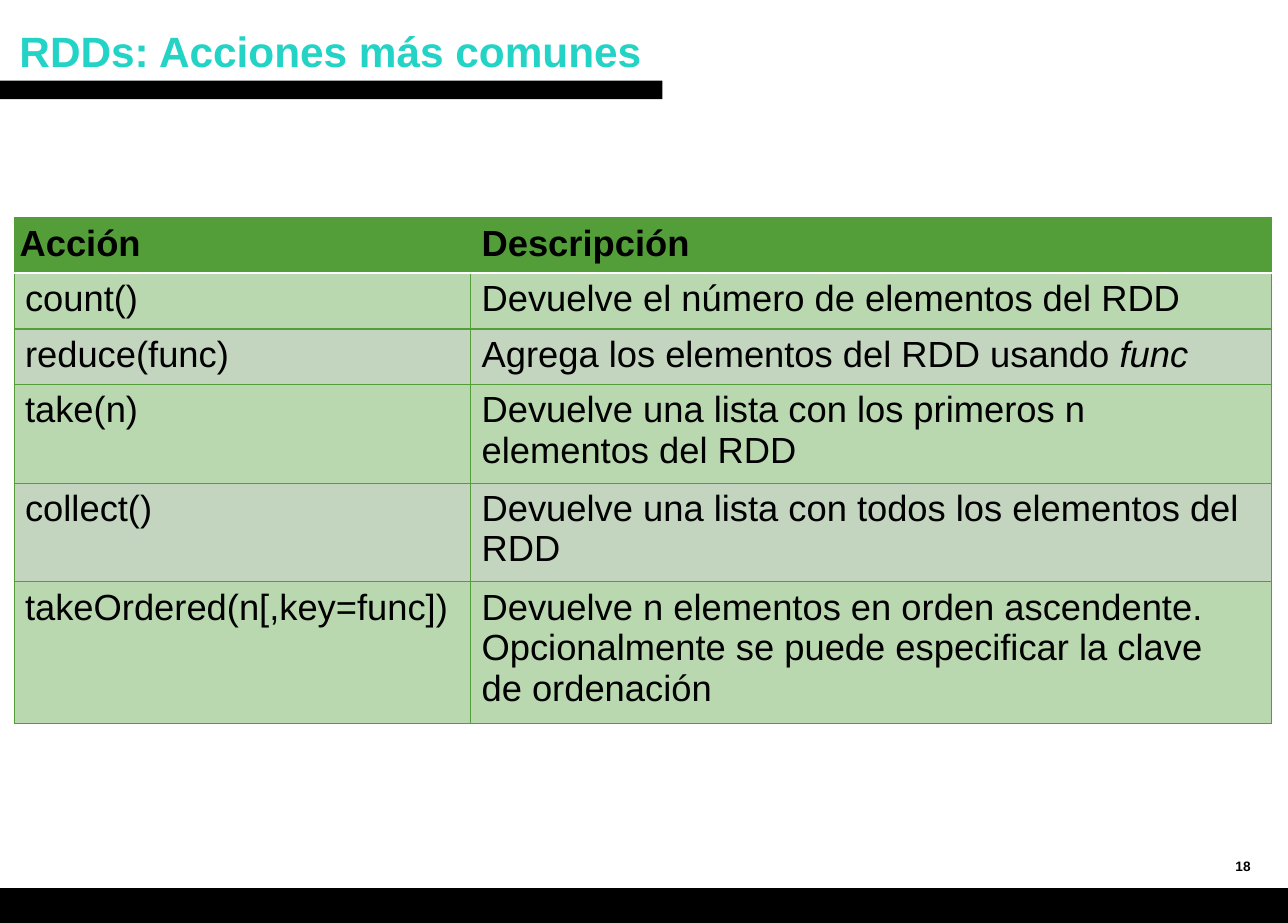
import pptx
import pptx.dml.color
import pptx.enum.shapes
import pptx.enum.text
import pptx.oxml
import pptx.util
from lxml import etree

WIDE, HIGH = 11.82, 8.47
BLACK, WHITE, TEAL = "000000", "FFFFFF", "22D3C6"
GREEN, LIGHT, GREY = "539E39", "BAD8AF", "C3D5BE"
ANCHOR = pptx.enum.text.MSO_ANCHOR
inch = pptx.util.Inches

# Table rows: action, runs of the description (text, italic), lines of text
ROWS = [
    ("Acción", [("Descripción", False)], 1),
    ("count()", [("Devuelve el número de elementos del RDD", False)], 1),
    ("reduce(func)",
     [("Agrega los elementos del RDD usando ", False), ("func", True)], 1),
    ("take(n)",
     [("Devuelve una lista con los primeros n elementos del RDD", False)], 2),
    ("collect()",
     [("Devuelve una lista con todos los elementos del RDD", False)], 2),
    ("takeOrdered(n[,key=func])",
     [("Devuelve n elementos en orden ascendente. Opcionalmente se puede "
       "especificar la clave de ordenación", False)], 3),
]


def color(text):
    return pptx.dml.color.RGBColor.from_string(text)


def place(left, top, width, height):
    """Turn percentages of the slide into lengths."""
    return [inch(share * side / 100) for share, side in
            ((left, WIDE), (top, HIGH), (width, WIDE), (height, HIGH))]


def assign(item, values):
    for name, value in values.items():
        setattr(item, name, value)


def write(para, text, size, tint, bold=False, italic=False):
    run = para.add_run()
    run.text = text
    assign(run.font, {"name": "Arial", "size": pptx.util.Pt(size),
                      "bold": bold, "italic": italic})
    run.font.color.rgb = color(tint)


def add_bar(slide, area):
    kind = pptx.enum.shapes.MSO_SHAPE.RECTANGLE
    bar = slide.shapes.add_shape(kind, *place(*area))
    bar.shadow.inherit = False
    bar.fill.solid()
    bar.fill.fore_color.rgb = color(BLACK)
    bar.line.fill.background()


def add_label(slide, area, text, size, tint, **frame):
    box = slide.shapes.add_textbox(*place(*area)).text_frame
    assign(box, {"word_wrap": True, **frame})
    write(box.paragraphs[0], text, size, tint, bold=True)


def add_edge(cell, side, tint, width):
    props = cell._tc.get_or_add_tcPr()
    edge = etree.SubElement(props, pptx.oxml.ns.qn("a:" + side),
                            w=str(pptx.util.Pt(width)))
    fill = etree.SubElement(edge, pptx.oxml.ns.qn("a:solidFill"))
    etree.SubElement(fill, pptx.oxml.ns.qn("a:srgbClr"), val=tint)


def fill_cell(cell, runs, row, col):
    head = row == 0
    # Edges come before the fill in the cell's XML
    for side in ("lnL", "lnR", "lnT", "lnB"):
        split = (row, side) in ((0, "lnB"), (1, "lnT"))
        add_edge(cell, side, WHITE if split else GREEN, 1.5 if split else 1)
    cell.fill.solid()
    cell.fill.fore_color.rgb = color(
        GREEN if head else LIGHT if row % 2 else GREY)
    assign(cell, {"margin_left": inch(0.05 if head and col == 0 else 0.1),
                  "margin_right": inch(0.26 if col else 0),
                  "margin_top": inch(0.05), "margin_bottom": 0,
                  "vertical_anchor": ANCHOR.TOP})
    para = cell.text_frame.paragraphs[0]
    para.space_before = pptx.util.Pt(3)
    for text, italic in runs:
        write(para, text, 24, BLACK, bold=head, italic=italic)


def add_grid(slide, area):
    grid = slide.shapes.add_table(len(ROWS), 2, *place(*area)).table
    for col, width in enumerate((4.19, 7.35)):
        grid.columns[col].width = inch(width)
    for row, (action, runs, lines) in enumerate(ROWS):
        grid.rows[row].height = inch(0.51 + 0.395 * (lines - 1))
        for col, part in enumerate(([(action, False)], runs)):
            fill_cell(grid.cell(row, col), part, row, col)


def main():
    deck = pptx.Presentation()
    assign(deck, {"slide_width": inch(WIDE), "slide_height": inch(HIGH)})
    slide = deck.slides.add_slide(deck.slide_layouts[6])

    # Footer
    add_bar(slide, (0, 96.22, 100, 3.78))
    add_label(slide, (95.09, 91.5, 3.89, 4.72), "18", 9, BLACK,
              vertical_anchor=ANCHOR.MIDDLE)

    # Title and its underline
    add_label(slide, (0.68, 1.77, 81.05, 7.91), "RDDs: Acciones más comunes",
              28, TEAL, margin_top=inch(0.08))
    add_bar(slide, (0, 8.74, 51.44, 2))

    # Table of actions
    add_grid(slide, (1.1, 23.61, 97.63, 54.9))
    deck.save("out.pptx")


if __name__ == "__main__":
    main()
